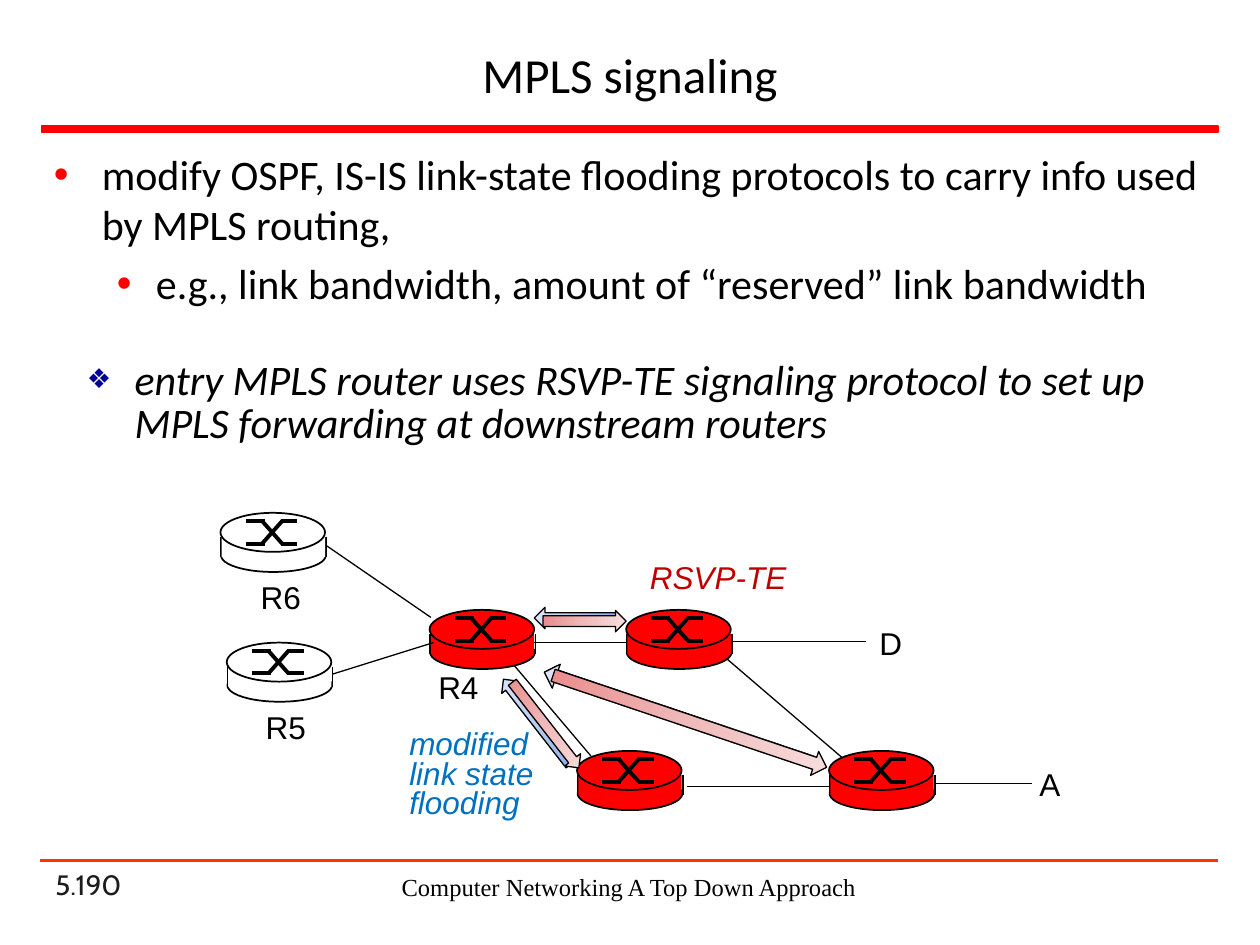
import copy
import dataclasses

import lxml.etree
import pptx
import pptx.dml.color
import pptx.enum.shapes
import pptx.enum.text
import pptx.oxml.ns
import pptx.util

RGB = pptx.dml.color.RGBColor
PRESET = pptx.enum.shapes.MSO_SHAPE
ALIGN = pptx.enum.text.PP_ALIGN
ANCHOR = pptx.enum.text.MSO_ANCHOR
FIT = pptx.enum.text.MSO_AUTO_SIZE
Pt = pptx.util.Pt
qn = pptx.oxml.ns.qn

BLACK = RGB(0x00, 0x00, 0x00)
WHITE = RGB(0xFF, 0xFF, 0xFF)
RED = RGB(0xFF, 0x00, 0x00)
ORANGE_RED = RGB(0xFF, 0x33, 0x00)
CHARCOAL = RGB(0x1C, 0x1C, 0x1C)
NAVY = RGB(0x00, 0x00, 0x99)
FLOODING_BLUE = RGB(0x00, 0x70, 0xC0)
RSVP_RED = RGB(0xC0, 0x00, 0x00)
BLUE_FADE = (RGB(0x8C, 0xAD, 0xEA), RGB(0xBA, 0xCC, 0xF0), RGB(0xDE, 0xE6, 0xF7))
RED_FADE = (RGB(0xEA, 0x8C, 0x8C), RGB(0xF0, 0xBA, 0xBA), RGB(0xF7, 0xDE, 0xDE))

SLIDE_WIDTH, SLIDE_HEIGHT = pptx.util.Inches(10), pptx.util.Inches(7.5)
COLUMN, ROW = SLIDE_WIDTH / 100, SLIDE_HEIGHT / 75

TITLE = {"name": "Calibri", "size": Pt(28), "color": BLACK}
BODY = {"name": "Calibri", "size": Pt(24), "color": BLACK}
LABEL = {"name": "Arial", "size": Pt(18), "color": BLACK}
NUMBER = {"name": "Cabin", "size": Pt(16), "color": CHARCOAL}
BOOK = {"name": "Times New Roman", "size": Pt(14), "color": BLACK}


@dataclasses.dataclass
class Box:
    """An area of the slide in grid columns and rows."""
    left: float
    top: float
    width: float
    height: float

    def area(self, left, top, width, height):
        """Return a box placed from this box's corner."""
        return Box(self.left + left, self.top + top, width, height)

    def emu(self):
        """Return left, top, width and height as slide lengths."""
        units = (COLUMN, ROW, COLUMN, ROW)
        lengths = (self.left, self.top, self.width, self.height)
        return [round(length * unit) for length, unit in zip(lengths, units)]


def set_format(target, values):
    """Set each format value on the target."""
    for name, value in values.items():
        if name == "color":
            target.color.rgb = value
        else:
            setattr(target, name, value)


def add_text(shapes, box, lines, font, frame=None, paragraph=None):
    """Add a text box with one paragraph for each line and return its paragraphs."""
    text_frame = shapes.add_textbox(*box.emu()).text_frame
    set_format(text_frame, {"word_wrap": True, **(frame or {})})
    for index, line in enumerate(lines):
        item = text_frame.add_paragraph() if index else text_frame.paragraphs[0]
        set_format(item, paragraph or {})
        run = item.add_run()
        run.text = line
        set_format(run.font, font)
    return text_frame.paragraphs


def add_label(shapes, box, lines, **changes):
    """Add an unwrapped diagram label."""
    spacing = {"line_spacing": Pt(17)} if changes else {}
    add_text(shapes, box, lines, {**LABEL, **changes},
             {"word_wrap": False, "auto_size": FIT.SHAPE_TO_FIT_TEXT}, spacing)


def add_bullet(paragraph, mark, color, indent, hanging, size=100):
    """Give a paragraph a coloured bullet and a hanging indent in columns."""
    properties = paragraph._p.get_or_add_pPr()
    properties.set("marL", str(round(indent * COLUMN)))
    properties.set("indent", str(round(-hanging * COLUMN)))
    tint = lxml.etree.SubElement(properties, qn("a:buClr"))
    for parent, tag, name, value in (
            (tint, "a:srgbClr", "val", str(color)),
            (properties, "a:buSzPct", "val", str(size * 1000)),
            (properties, "a:buFont", "typeface", "Arial"),
            (properties, "a:buChar", "char", mark)):
        lxml.etree.SubElement(parent, qn(tag)).set(name, value)


def add_preset(shapes, preset, box, fill=None, line=None, weight=1):
    """Add a preset shape with a plain fill and outline."""
    shape = shapes.add_shape(preset, *box.emu())
    shape.shadow.inherit = False
    if fill is not None:
        shape.fill.solid()
        shape.fill.fore_color.rgb = fill
    if line is None:
        shape.line.fill.background()
    else:
        set_format(shape.line, {"color": line, "width": Pt(weight)})
    return shape


def add_line(shapes, box, start, end, weight, color=BLACK):
    """Join two points given from the corner of the box."""
    ends = [box.area(*point, 0, 0).emu()[:2] for point in (start, end)]
    line = shapes.add_connector(pptx.enum.shapes.MSO_CONNECTOR.STRAIGHT, *ends[0], *ends[1])
    set_format(line.line, {"color": color, "width": Pt(weight)})
    lxml.etree.SubElement(line._element.spPr, qn("a:effectLst"))


def add_router(shapes, box, fill):
    """Draw a router drum with its crossed switch sign."""
    router = shapes.add_group_shape().shapes
    add_preset(router, PRESET.OVAL, box.area(0.05, 2.1, 8.3, 2.6), fill, BLACK)
    for side in (0.05, 8.4):
        add_line(router, box, (side, 1.9), (side, 3.5), 1)
    add_preset(router, PRESET.RECTANGLE, box.area(0.1, 1.9, 8.2, 1.6), fill)
    add_preset(router, PRESET.OVAL, box.area(0, 0, 8.3, 3.1), fill, BLACK)
    for near, far in ((0.65, 2.45), (2.45, 0.65)):
        for start, end in (((2, near), (3.5, near)), ((3.3, near), (4.9, far)),
                           ((4.8, far), (6.1, far))):
            add_line(router, box, start, end, 2.25)


def add_signals(shapes, box, turn, fade):
    """Draw the three message arrows, turned by the given angle."""
    for left, top, width, height, angle in (
            (10.9, 4.2, 6.6, 1.7, 0), (6.8, 12.5, 8.6, 1.6, 52.1), (11.1, 12, 22.9, 2, 18.6)):
        arrow = add_preset(shapes, PRESET.RIGHT_ARROW, box.area(left, top, width, height),
                           line=BLACK, weight=0.75)
        arrow.rotation = angle + turn
        arrow.fill.gradient()
        arrow.fill.gradient_angle = 0
        stops = arrow._element.spPr.find(qn("a:gradFill")).find(qn("a:gsLst"))
        stops.insert(1, copy.deepcopy(stops[0]))
        for index, stop in enumerate(arrow.fill.gradient_stops):
            set_format(stop, {"color": fade[index], "position": index / 2})


def add_network(shapes, box):
    """Draw the routers, links, labels and signaling messages."""
    for left, top, fill in ((50.8, 19.6, RED), (30.8, 19.6, RED), (34.7, 8.4, RED),
                            (19.1, 8.4, RED), (2.5, 0.7, WHITE), (3, 11, WHITE)):
        add_router(shapes, box.area(left, top, 8.4, 4.7), fill)
    for start, end in (((10.9, 3.3), (19.2, 9)), ((11.4, 13.5), (19.4, 11)),
                       ((27.4, 11), (34.7, 11)), ((25.8, 12.8), (31.9, 20)),
                       ((39.5, 22.4), (50.9, 22.4)), ((42.7, 12.3), (51.8, 20.1)),
                       ((59.2, 22.2), (66.9, 22.2)), ((43.1, 10.9), (53.7, 10.9))):
        add_line(shapes, box, start, end, 0.75)
    for name, left, top, width in (("D", 53.8, 9, 3.8), ("R4", 18.8, 12.5, 5.2),
                                   ("R5", 5.1, 15.7, 5.2), ("A", 66.5, 20.2, 3.7),
                                   ("R6", 4.7, 5.4, 5.2)):
        add_label(shapes, box.area(left, top, width, 4), [name])
    flooding = shapes.add_group_shape().shapes
    add_signals(flooding, box.area(16.5, 4, 34, 22), 180, BLUE_FADE)
    add_label(flooding, box.area(16.5, 17.6, 12.7, 8.2),
              ["modified", "link state", "flooding"], color=FLOODING_BLUE, italic=True)
    reservation = shapes.add_group_shape().shapes
    add_signals(reservation, box.area(17.2, 4.25, 34, 22), 0, RED_FADE)
    add_label(reservation, box.area(35.6, 4.4, 13, 3.4), ["RSVP-TE"],
              color=RSVP_RED, italic=True)


def add_heading(shapes, box):
    """Place the title above its red rule."""
    add_text(shapes, box.area(0, 0, box.width, 7), ["MPLS signaling"], TITLE,
             {"vertical_anchor": ANCHOR.MIDDLE}, {"alignment": ALIGN.CENTER})
    add_preset(shapes, PRESET.RECTANGLE, box.area(0, 7.6, box.width, 0.5), RED, RED)


def add_points(shapes, box):
    """Place the two-level list and the entry router point."""
    protocols, example = add_text(
        shapes, box.area(0, 0, box.width, 14.8),
        ["modify OSPF, IS-IS link-state flooding protocols to carry info used by MPLS routing,",
         "e.g., link bandwidth, amount of “reserved” link bandwidth"], BODY)
    add_bullet(protocols, "•", RED, 3.8, 3.8)
    add_bullet(example, "•", RED, 8.1, 3.1)
    set_format(example, {"level": 1, "space_before": Pt(4.8)})
    entry, = add_text(
        shapes, box.area(2.6, 16.9, 91.2, 11.6),
        ["entry MPLS router uses RSVP-TE signaling protocol to set up MPLS forwarding "
         "at downstream routers"], {**BODY, "italic": True}, paragraph={"line_spacing": 0.85})
    add_bullet(entry, "❖", NAVY, 3.8, 3.8, 65)


def add_footer(shapes, box):
    """Place the rule, page number and book title."""
    add_line(shapes, box, (0, 0), (box.width, 0), 1.5, ORANGE_RED)
    add_text(shapes, box.area(0.2, 1.5, 20.8, 2.2), ["5.190"], NUMBER,
             {"vertical_anchor": ANCHOR.BOTTOM})
    add_text(shapes, box.area(26.3, 0.4, 40.8, 3.4),
             ["Computer Networking A Top Down Approach"], BOOK,
             paragraph={"alignment": ALIGN.CENTER})


def main():
    """Build and save the slide."""
    deck = pptx.Presentation()
    set_format(deck, {"slide_width": SLIDE_WIDTH, "slide_height": SLIDE_HEIGHT})
    shapes = deck.slides.add_slide(deck.slide_layouts[6]).shapes
    add_footer(shapes, Box(3.2, 68.3, 93.5, 4))
    add_heading(shapes, Box(3.3, 2.4, 93.4, 8.1))
    add_points(shapes, Box(3.3, 11.3, 93.4, 28.5))
    add_network(shapes, Box(15, 40, 70.2, 26))
    deck.save("out.pptx")


if __name__ == "__main__":
    main()
